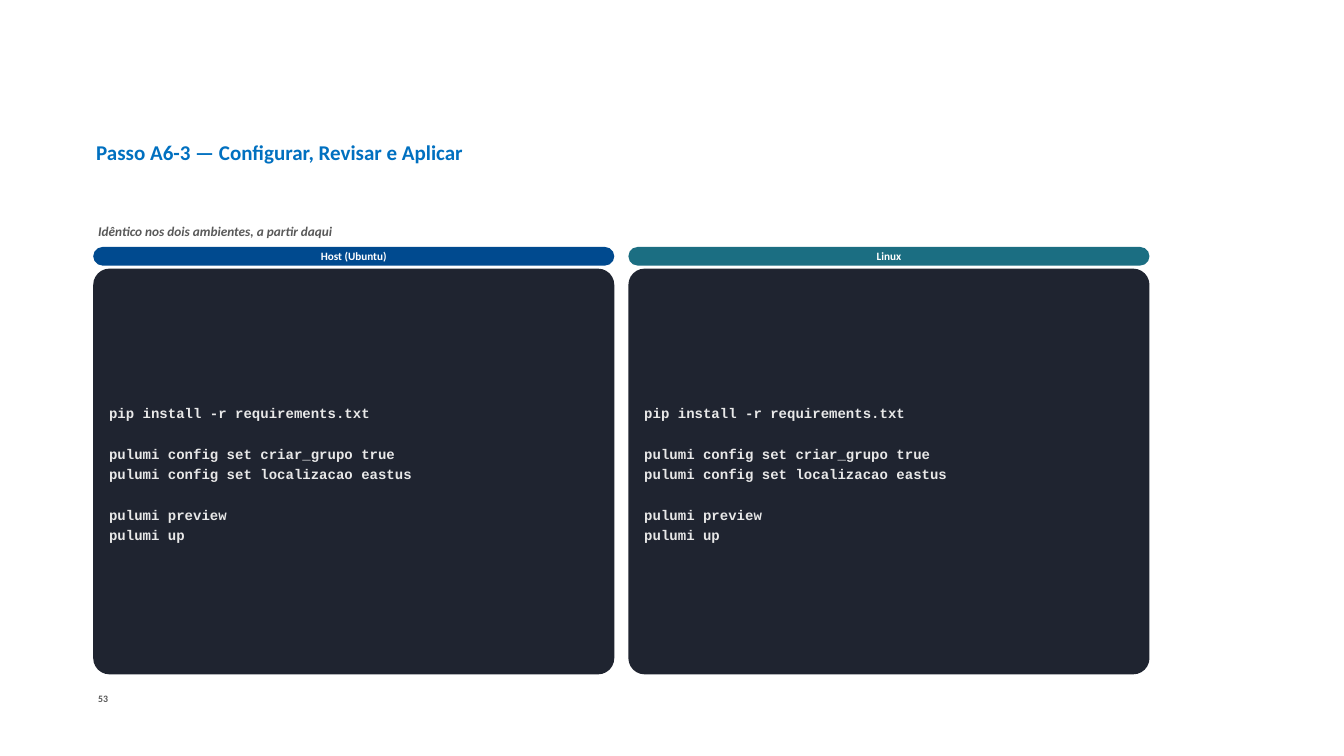
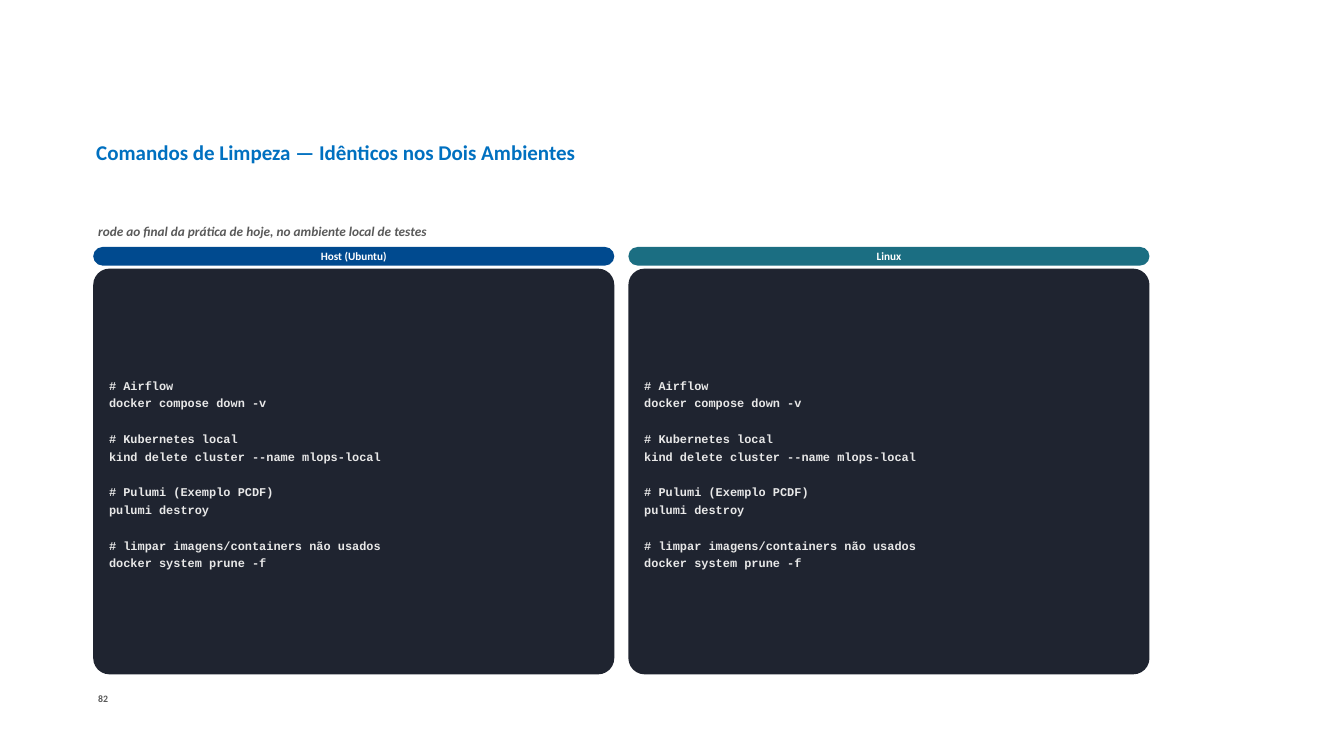
from pptx import Presentation
from pptx.dml.color import RGBColor
from pptx.enum import shapes, text
from pptx.util import Inches, Pt

PAGES = [
    {
        "title": "Passo A6-3 — Configurar, Revisar e Aplicar",
        "subtitle": "Idêntico nos dois ambientes, a partir daqui",
        "number": "53",
        "code_size": 20,
        "code": [
            ["pip install -r requirements.txt"],
            ["pulumi config set criar_grupo true", "pulumi config set localizacao eastus"],
            ["pulumi preview", "pulumi up"],
        ],
    },
    {
        "title": "Comandos de Limpeza — Idênticos nos Dois Ambientes",
        "subtitle": "rode ao final da prática de hoje, no ambiente local de testes",
        "number": "82",
        "code_size": 17,
        "code": [
            ["# Airflow", "docker compose down -v"],
            ["# Kubernetes local", "kind delete cluster --name mlops-local"],
            ["# Pulumi (Exemplo PCDF)", "pulumi destroy"],
            ["# limpar imagens/containers não usados", "docker system prune -f"],
        ],
    },
]
ENVIRONMENTS = [("Host (Ubuntu)", "004A8F"), ("Linux", "1B6E82")]

TITLE_BLUE = "0070C0"
GREY = "595959"
WHITE = "FFFFFF"
PANEL = "1F2430"
CODE_TEXT = "E8E8E8"
SANS, MONO = "Calibri", "Courier New"

LEFT, CONTENT_WIDTH = 1.85, 20.97
COLUMN_WIDTH, COLUMN_GAP = 10.34, 0.28
LINE_GAP, LINE_HEIGHT = 5, 1.2


def colour(value):
    return RGBColor.from_string(value)


def place(box, left, top, width, height):
    box.left, box.top = Inches(left), Inches(top)
    box.width, box.height = Inches(width), Inches(height)


def set_margins(frame, left, top, right, bottom):
    frame.margin_left, frame.margin_top = Inches(left), Inches(top)
    frame.margin_right, frame.margin_bottom = Inches(right), Inches(bottom)


def write(para, words, size, shade, font=SANS, italic=False, align=text.PP_ALIGN.LEFT):
    para.alignment = align
    span = para.add_run()
    span.text = words
    span.font.name = font
    span.font.size = Pt(size)
    span.font.bold = True
    span.font.italic = italic
    span.font.color.rgb = colour(shade)


def add_title(page, words):
    box = page.shapes.title
    place(box, LEFT, 1.76, CONTENT_WIDTH, 2.5)
    frame = box.text_frame
    frame.auto_size = text.MSO_AUTO_SIZE.NONE
    frame.vertical_anchor = text.MSO_ANCHOR.MIDDLE
    set_margins(frame, 0.06, 0.06, 0.06, 0.06)
    write(frame.paragraphs[0], words, 30, TITLE_BLUE)


def add_label(page, words, top, width, height, size, italic=False):
    box = page.shapes.add_textbox(Inches(LEFT), Inches(top), Inches(width), Inches(height))
    box.text_frame.word_wrap = True
    write(box.text_frame.paragraphs[0], words, size, GREY, italic=italic)


def add_rounded(page, left, top, height, fill, rounding):
    box = page.shapes.add_shape(
        shapes.MSO_SHAPE.ROUNDED_RECTANGLE,
        Inches(left), Inches(top), Inches(COLUMN_WIDTH), Inches(height),
    )
    box.adjustments[0] = rounding
    box.shadow.inherit = False
    box.fill.solid()
    box.fill.fore_color.rgb = colour(fill)
    box.line.fill.background()
    box.text_frame.word_wrap = True
    box.text_frame.vertical_anchor = text.MSO_ANCHOR.MIDDLE
    return box


def add_code(page, left, groups, size):
    frame = add_rounded(page, left, 5.33, 8.05, PANEL, 0.04).text_frame
    set_margins(frame, 0.22, 0.16, 0.15, 0.05)
    group_gap = size * LINE_HEIGHT + 2 * LINE_GAP
    para = None
    for group in groups:
        if para is not None:
            para.space_after = Pt(group_gap)
        for line in group:
            para = frame.paragraphs[0] if para is None else frame.add_paragraph()
            para.space_after = Pt(LINE_GAP)
            write(para, line, size, CODE_TEXT, MONO)


def add_page(deck, content):
    page = deck.slides.add_slide(deck.slide_layouts[5])
    add_title(page, content["title"])
    add_label(page, content["number"], 13.69, 0.98, 0.44, 14)
    add_label(page, content["subtitle"], 4.37, CONTENT_WIDTH, 0.46, 19, italic=True)
    for column, (name, fill) in enumerate(ENVIRONMENTS):
        left = LEFT + column * (COLUMN_WIDTH + COLUMN_GAP)
        header = add_rounded(page, left, 4.9, 0.37, fill, 0.5)
        write(header.text_frame.paragraphs[0], name, 16, WHITE, align=text.PP_ALIGN.CENTER)
        add_code(page, left, content["code"], content["code_size"])


def main():
    deck = Presentation()
    deck.slide_width, deck.slide_height = Inches(26.67), Inches(15)
    for content in PAGES:
        add_page(deck, content)
    deck.save("out.pptx")


if __name__ == "__main__":
    main()
